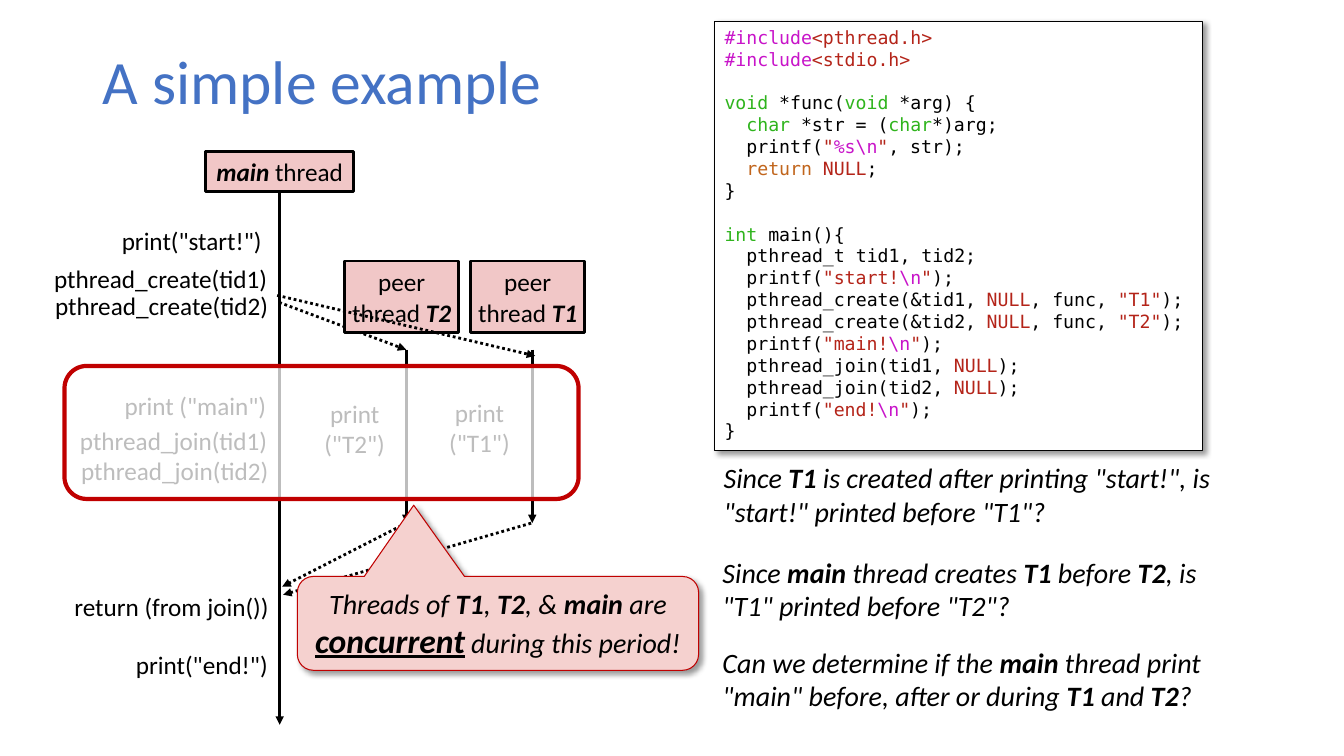
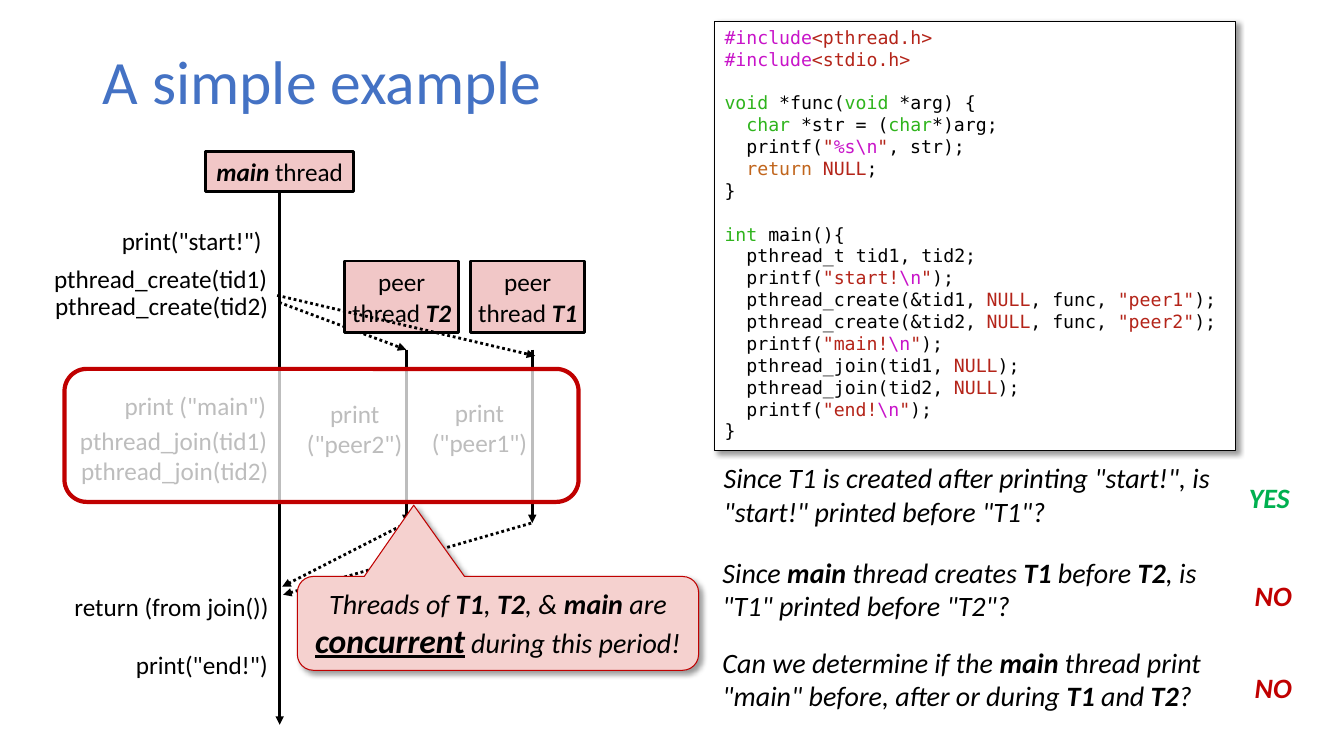
from lxml.etree import SubElement
from pptx import Presentation
from pptx.dml.color import RGBColor
from pptx.enum.dml import MSO_LINE
from pptx.enum.shapes import MSO_CONNECTOR, MSO_SHAPE
from pptx.enum.text import MSO_ANCHOR, PP_ALIGN
from pptx.oxml.ns import qn
from pptx.util import Pt

BLACK = RGBColor(0x00, 0x00, 0x00)
WHITE = RGBColor(0xFF, 0xFF, 0xFF)
BLUE = RGBColor(0x44, 0x72, 0xC4)
PINK = RGBColor(0xF1, 0xC7, 0xC7)
CALLOUT_PINK = RGBColor(0xF5, 0xD1, 0xCF)
RED = RGBColor(0xC0, 0x00, 0x00)
GREEN = RGBColor(0x00, 0xB0, 0x50)
CODE_COLOURS = {
    "k": BLACK,
    "m": RGBColor(0xC8, 0x14, 0xC9),
    "r": RGBColor(0xB4, 0x24, 0x19),
    "g": RGBColor(0x2F, 0xB4, 0x1D),
    "o": RGBColor(0xC1, 0x65, 0x1C),
}
TEXT_FONT, CODE_FONT = "Calibri", "DejaVu Sans Mono"
CODE_LINE = 15.63

# In code, "~" and a colour key start a new colour.
# An empty line becomes space above the next line.
CODE = r"""~m#include~r<pthread.h>
~m#include~r<stdio.h>

~gvoid~k *func(~gvoid~k *arg) {
  ~gchar~k *str = (~gchar~k*)arg;
  printf(~r"~m%s\n~r"~k, str);
  ~oreturn ~rNULL~k;
}

~gint~k main(){
  pthread_t tid1, tid2;
  printf(~r"start!~m\n~r"~k);
  pthread_create(&tid1, ~rNULL~k, func, ~r"<T>1"~k);
  pthread_create(&tid2, ~rNULL~k, func, ~r"<T>2"~k);
  printf(~r"main!~m\n~r"~k);
  pthread_join(tid1, ~rNULL~k);
  pthread_join(tid2, ~rNULL~k);
  printf(~r"end!~m\n~r"~k);
}"""

# In prose, "|" switches bold on and off.
TITLE = "A simple example"
QUESTIONS = [
    (509.8, 325.4, 366.5, 'Since |T1| is created after printing "start!", '
     'is "start!" printed before "T1"?'),
    (509, 393.1, 381.6, 'Since |main| thread creates |T1| before |T2|, '
     'is "T1" printed before "T2"?'),
    (509, 457.2, 380.2, 'Can we determine if the |main| thread print "main" '
     'before, after or during |T1| and |T2|?'),
]
ANSWERS = [
    (884.9, 339.8, 43.9, "YES", GREEN),
    (889.2, 409.7, 41, "NO", RED),
    (889.2, 475.2, 41, "NO", RED),
]
MAIN_STEPS = [
    (79.9, 157.7, 119.5, 'print("start!")', PP_ALIGN.LEFT),
    (29.5, 184.3, 168.5, "pthread_create(tid1)", PP_ALIGN.RIGHT),
    (30.2, 203.8, 168.5, "pthread_create(tid2)", PP_ALIGN.RIGHT),
    (77, 275, 120.3, 'print ("main")', PP_ALIGN.RIGHT),
    (48.2, 300.2, 149.8, "pthread_join(tid1)", PP_ALIGN.RIGHT),
    (49, 321.8, 149.8, "pthread_join(tid2)", PP_ALIGN.RIGHT),
    (46.1, 419, 154.1, "return (from join())", PP_ALIGN.LEFT),
    (90, 460.1, 117.4, 'print("end!")', PP_ALIGN.LEFT),
]
PEERS = [
    {"number": 2, "fork": (199.4, 216, 290.2, 249.8),
     "join": (290.2, 373.7, 201.6, 419), "label": (218.2, 280.8)},
    {"number": 1, "fork": (198, 211, 382.3, 254.2),
     "join": (379.4, 373.7, 202.3, 424.8), "label": (307.4, 280.1)},
]
PEER_STEP = 90
SLIDES = [
    {"prefix": "T", "code_width": 348.5, "period_top": 261.4,
     "plain_first": False, "answers": []},
    {"prefix": "peer", "code_width": 372.2, "period_top": 263.5,
     "plain_first": True, "answers": ANSWERS},
]


def add_run(paragraph, text, **font_format):
    run = paragraph.add_run()
    run.text = text
    values = {"name": TEXT_FONT, "size": Pt(18), **font_format}
    run.font.color.rgb = values.pop("colour", BLACK)
    for name, value in values.items():
        setattr(run.font, name, value)
    return run


def add_prose(paragraph, text, bold_format, **font_format):
    for index, part in enumerate(text.split("|")):
        if part:
            emphasis = bold_format if index % 2 else {}
            add_run(paragraph, part, **{**font_format, **emphasis})


def set_frame(shape, side=7.2, **frame_format):
    frame = shape.text_frame
    values = {"word_wrap": True, "vertical_anchor": MSO_ANCHOR.TOP,
              "margin_left": Pt(side), "margin_right": Pt(side),
              "margin_top": Pt(3.6), "margin_bottom": Pt(3.6), **frame_format}
    for name, value in values.items():
        setattr(frame, name, value)
    return frame


def add_label(slide, box, text, align=PP_ALIGN.LEFT, side=7.2, wrap=True,
              **font_format):
    """Add a text box; each line of the text is a paragraph."""
    shape = slide.shapes.add_textbox(*map(Pt, box))
    frame = set_frame(shape, side, word_wrap=wrap)
    for index, line in enumerate(text.split("\n")):
        paragraph = frame.add_paragraph() if index else frame.paragraphs[0]
        paragraph.alignment = align
        add_prose(paragraph, line, {"bold": True}, **font_format)


def add_block(slide, kind, box, fill, line, width, opacity=None, shadow=False):
    shape = slide.shapes.add_shape(kind, *map(Pt, box))
    shape.fill.solid()
    shape.fill.fore_color.rgb = fill
    shape.line.color.rgb = line
    shape.line.width = Pt(width)
    shape.shadow.inherit = False
    properties = shape.element.spPr
    if opacity:
        colour = properties.find(qn("a:solidFill")).find(qn("a:srgbClr"))
        SubElement(colour, qn("a:alpha"), val=str(opacity * 1000))
    if shadow:
        outer = SubElement(properties.find(qn("a:effectLst")),
                           qn("a:outerShdw"), blurRad=str(Pt(4)),
                           dist=str(Pt(3)), dir=str(45 * 60000), algn="tl",
                           rotWithShape="0")
        colour = SubElement(outer, qn("a:srgbClr"), val="000000")
        SubElement(colour, qn("a:alpha"), val="40000")
    return shape


def add_arrow(slide, ends, dotted=False):
    arrow = slide.shapes.add_connector(MSO_CONNECTOR.STRAIGHT, *map(Pt, ends))
    arrow.line.color.rgb = BLACK
    arrow.line.width = Pt(2)
    if dotted:
        arrow.line.dash_style = MSO_LINE.ROUND_DOT
    SubElement(arrow.line._get_or_add_ln(), qn("a:tailEnd"), type="triangle")
    SubElement(arrow.element.spPr, qn("a:effectLst"))
    return arrow


def add_thread_box(slide, box, text, side=7.2, wrap=True):
    shape = add_block(slide, MSO_SHAPE.RECTANGLE, box, PINK, BLACK, 2)
    frame = set_frame(shape, side, word_wrap=wrap,
                      vertical_anchor=MSO_ANCHOR.MIDDLE)
    frame.paragraphs[0].alignment = PP_ALIGN.CENTER
    add_prose(frame.paragraphs[0], text, {"bold": True, "italic": True})
    return shape


def add_title(slide):
    title = slide.shapes.title
    box = {"left": 66.2, "top": 28.8, "width": 828, "height": 62.6}
    for name, value in box.items():
        setattr(title, name, Pt(value))
    frame = set_frame(title, vertical_anchor=MSO_ANCHOR.MIDDLE)
    paragraph = frame.paragraphs[0]
    paragraph.alignment = PP_ALIGN.LEFT
    paragraph.line_spacing = 0.9
    add_run(paragraph, TITLE, size=Pt(44), colour=BLUE)


def add_code(slide, width, prefix):
    box = (510.5, 15.1, width, 306.7)
    shape = add_block(slide, MSO_SHAPE.RECTANGLE, box, WHITE, BLACK, 0.75,
                      shadow=True)
    frame = set_frame(shape)
    paragraph, gap = frame.paragraphs[0], 0
    for index, line in enumerate(CODE.replace("<T>", prefix).split("\n")):
        if not line:
            gap = CODE_LINE
            continue
        if index:
            paragraph = frame.add_paragraph()
        paragraph.alignment = PP_ALIGN.LEFT
        paragraph.line_spacing = Pt(CODE_LINE)
        paragraph.space_before = Pt(gap)
        gap = 0
        first, *coloured = line.split("~")
        for part in ["k" + first, *coloured]:
            if part[1:]:
                add_run(paragraph, part[1:], name=CODE_FONT, size=Pt(13),
                        colour=CODE_COLOURS[part[0]])


def add_threads(slide, prefix):
    main_box = add_thread_box(slide, (147, 108, 105.6, 28.8), "|main| thread",
                              wrap=False)
    lifeline = add_arrow(slide, (199.8, 136.8, 199.8, 517.7))
    lifeline.begin_connect(main_box, 2)
    for index, peer in enumerate(PEERS):
        number, shift = peer["number"], index * PEER_STEP
        add_arrow(slide, peer["fork"], dotted=True)
        add_thread_box(slide, (246.2 + shift, 186.5, 81.4, 51.1),
                       f"peer thread |T{number}|", side=0)
        x = 290.2 + shift
        add_arrow(slide, (x, 249.8, x, 373.7))
        add_arrow(slide, peer["join"], dotted=True)
        add_label(slide, (*peer["label"], 70.2, 51.1),
                  f'print\n("{prefix}{number}")', PP_ALIGN.CENTER, side=0)
    for left, top, width, text, align in MAIN_STEPS:
        add_label(slide, (left, top, width, 28.8), text, align)


def add_period(slide, top):
    """Add the callout and the veil over the concurrent period."""
    callout = add_block(slide, MSO_SHAPE.ROUNDED_RECTANGULAR_CALLOUT,
                        (212.4, 411.8, 286.6, 67), CALLOUT_PINK, RED, 0.75,
                        shadow=True)
    for index, value in enumerate((-0.21, -1.26, 0.17)):
        callout.adjustments[index] = value
    paragraph = set_frame(callout).paragraphs[0]
    paragraph.alignment = PP_ALIGN.CENTER
    style = {"size": Pt(20), "italic": True}
    bold = {"bold": True}
    add_prose(paragraph, "Threads of |T1|, |T2|, & |main| are ", bold, **style)
    add_run(paragraph, "concurrent", size=Pt(24), italic=True, bold=True,
            underline=True)
    add_prose(paragraph, " during this period!", bold, **style)
    add_block(slide, MSO_SHAPE.ROUNDED_RECTANGLE, (46.1, top, 367.2, 95),
              WHITE, RED, 3, opacity=74)


def add_questions(slide, plain_first, answers):
    for index, (left, top, width, text) in enumerate(QUESTIONS):
        if plain_first and index == 0:
            text = text.replace("|", "")
        add_label(slide, (left, top, width, 55.4), text, size=Pt(20),
                  italic=True)
    for left, top, width, text, colour in answers:
        add_label(slide, (left, top, width, 31.7), text, wrap=False,
                  size=Pt(20), italic=True, bold=True, colour=colour)


def main():
    presentation = Presentation()
    presentation.slide_width, presentation.slide_height = Pt(960), Pt(540)
    for content in SLIDES:
        slide = presentation.slides.add_slide(presentation.slide_layouts[5])
        add_title(slide)
        add_code(slide, content["code_width"], content["prefix"])
        add_threads(slide, content["prefix"])
        add_period(slide, content["period_top"])
        add_questions(slide, content["plain_first"], content["answers"])
    presentation.save("out.pptx")


if __name__ == "__main__":
    main()
